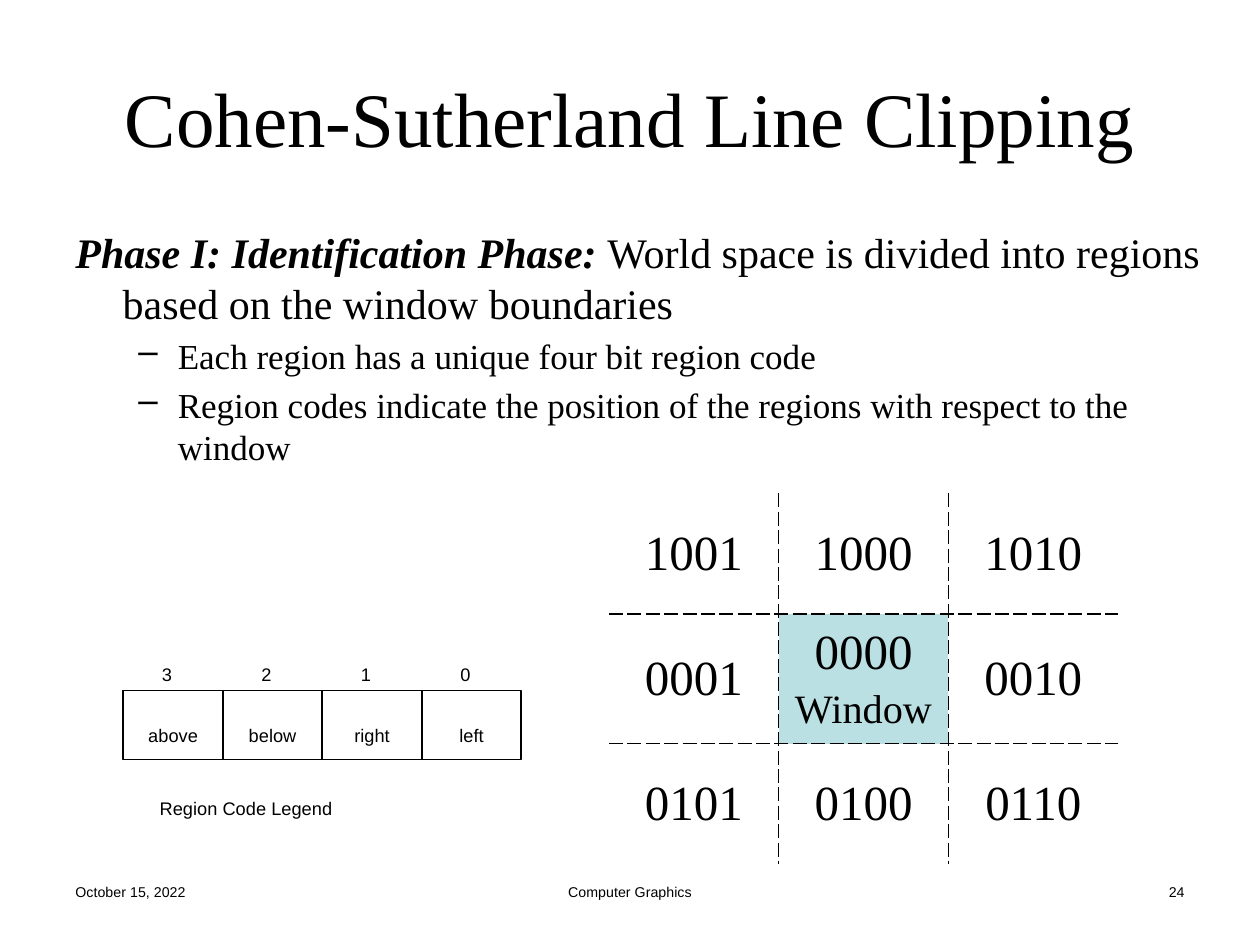
from lxml import etree
from pptx import Presentation
from pptx.dml.color import RGBColor
from pptx.enum.shapes import MSO_SHAPE
from pptx.enum.text import MSO_ANCHOR as ANCHOR, MSO_AUTO_SIZE as AUTO_SIZE, PP_ALIGN as ALIGN
from pptx.oxml import parse_xml
from pptx.oxml.ns import nsdecls, qn
from pptx.util import Pt

BLACK = RGBColor(0x00, 0x00, 0x00)
WINDOW_FILL = RGBColor(0xBB, 0xE0, 0xE3)
SERIF = "Times New Roman"
SANS = "Arial"


def style_runs(paragraph, size, font_name, align=ALIGN.LEFT):
    paragraph.alignment = align
    for run in paragraph.runs:
        run.font.size = Pt(size)
        run.font.name = font_name
        run.font.color.rgb = BLACK


def set_subscript_text(shape, text, size, align):
    """Write one Arial line set as subscript, as all small labels here are."""
    paragraph = shape.text_frame.paragraphs[0]
    paragraph.text = text
    style_runs(paragraph, size, SANS, align)
    paragraph.runs[0]._r.get_or_add_rPr().set("baseline", "-25000")


presentation = Presentation()
presentation.slide_width = Pt(720)
presentation.slide_height = Pt(540)
slide = presentation.slides.add_slide(presentation.slide_layouts[5])

# Title
title = slide.shapes.title
title.left, title.top, title.width, title.height = Pt(36), Pt(21.6), Pt(648), Pt(90)
title.text_frame.text = "Cohen-Sutherland Line Clipping"
title.text_frame.vertical_anchor = ANCHOR.MIDDLE
style_runs(title.text_frame.paragraphs[0], 44, SERIF, ALIGN.CENTER)

# Body text
body = slide.shapes.add_textbox(Pt(36), Pt(126), Pt(666), Pt(356.4))
body.text_frame.word_wrap = True
intro = body.text_frame.paragraphs[0]
intro.text = "Phase I: Identification Phase: "
intro.runs[0].font.bold = True
intro.runs[0].font.italic = True
intro.add_run().text = "World space is divided into regions based on the window boundaries"
intro_properties = intro._p.get_or_add_pPr()
intro_properties.set("marL", str(Pt(27)))
intro_properties.set("indent", str(Pt(-27)))
style_runs(intro, 24, SERIF)

for text in (
    "Each region has a unique four bit region code",
    "Region codes indicate the position of the regions with respect to the window",
):
    paragraph = body.text_frame.add_paragraph()
    paragraph.text = text
    paragraph.level = 1
    properties = paragraph._p.get_or_add_pPr()
    properties.set("marL", str(Pt(58.5)))
    properties.set("indent", str(Pt(-22.5)))
    etree.SubElement(properties, qn("a:buChar")).set("char", "–")
    paragraph.space_before = Pt(4)
    style_runs(paragraph, 20, SERIF)

# Region codes, with dashed borders on the inner edges only
REGION_CODES = [
    ["1001", "1000", "1010"],
    ["0001", "0000\nWindow", "0010"],
    ["0101", "0100", "0110"],
]
table_frame = slide.shapes.add_table(3, 3, Pt(348), Pt(282), Pt(291), Pt(212))
table = table_frame.table
table.first_row = False
table.horz_banding = False
for column in table.columns:
    column.width = Pt(97)
for row, height in zip(table.rows, (69, 74, 69)):
    row.height = Pt(height)

for row_index, codes in enumerate(REGION_CODES):
    for column_index, code in enumerate(codes):
        cell = table.cell(row_index, column_index)
        cell.vertical_anchor = ANCHOR.MIDDLE
        cell.text_frame.text = code
        for paragraph in cell.text_frame.paragraphs:
            is_label = paragraph.text == "Window"
            style_runs(paragraph, 23 if is_label else 28, SERIF, ALIGN.CENTER)
            if is_label:
                paragraph.space_before = Pt(4.6)
        inner_edges = {
            "lnL": column_index > 0,
            "lnR": column_index < 2,
            "lnT": row_index > 0,
            "lnB": row_index < 2,
        }
        for edge, is_inner in inner_edges.items():
            if is_inner:
                line = (
                    f'<a:solidFill><a:srgbClr val="{BLACK}"/></a:solidFill>'
                    '<a:prstDash val="sysDash"/>'
                )
            else:
                line = "<a:noFill/>"
            cell._tc.get_or_add_tcPr().append(
                parse_xml(f'<a:{edge} {nsdecls("a")} w="{Pt(1)}">{line}</a:{edge}>')
            )
        if row_index == column_index == 1:
            cell.fill.solid()
            cell.fill.fore_color.rgb = WINDOW_FILL
        else:
            cell.fill.background()

# Legend: bit numbers above a row of boxes
legend = slide.shapes.add_group_shape()
BOX_WIDTH = 56.85
for index, name in enumerate(("above", "below", "right", "left")):
    left = 70.5 + index * BOX_WIDTH
    box = legend.shapes.add_shape(
        MSO_SHAPE.RECTANGLE, Pt(left), Pt(394.5), Pt(BOX_WIDTH), Pt(39.6)
    )
    box.shadow.inherit = False
    box.fill.background()
    box.line.color.rgb = BLACK
    box.line.width = Pt(1)
    box.text_frame.word_wrap = False
    box.text_frame.vertical_anchor = ANCHOR.MIDDLE
    set_subscript_text(box, name, 18, ALIGN.CENTER)

legend_labels = [
    (str(3 - index), 85.5 + index * BOX_WIDTH, 363.6, 24.5) for index in range(4)
]
legend_labels.append(("Region Code Legend", 84.2, 440, 184.3))
for text, left, top, width in legend_labels:
    label = legend.shapes.add_textbox(Pt(left), Pt(top), Pt(width), Pt(28.8))
    label.text_frame.word_wrap = False
    label.text_frame.auto_size = AUTO_SIZE.SHAPE_TO_FIT_TEXT
    set_subscript_text(label, text, 18, ALIGN.LEFT)

# Footer
for text, left, width, align in (
    ("October 15, 2022", 36, 168, ALIGN.LEFT),
    ("Computer Graphics", 246, 228, ALIGN.CENTER),
    ("24", 516, 168, ALIGN.RIGHT),
):
    footer = slide.shapes.add_textbox(Pt(left), Pt(492), Pt(width), Pt(37.5))
    footer.text_frame.word_wrap = True
    set_subscript_text(footer, text, 14, align)

presentation.save("out.pptx")
